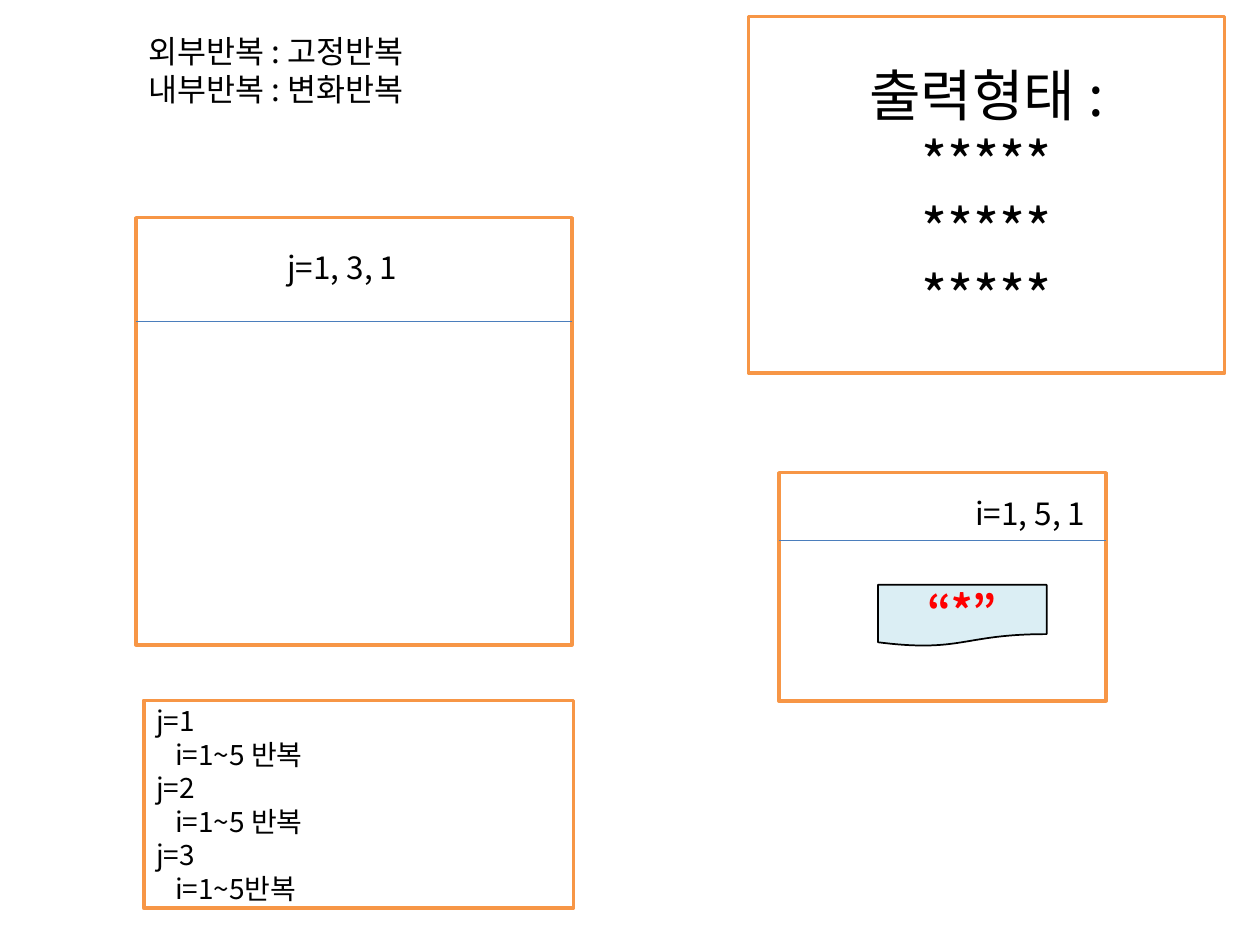
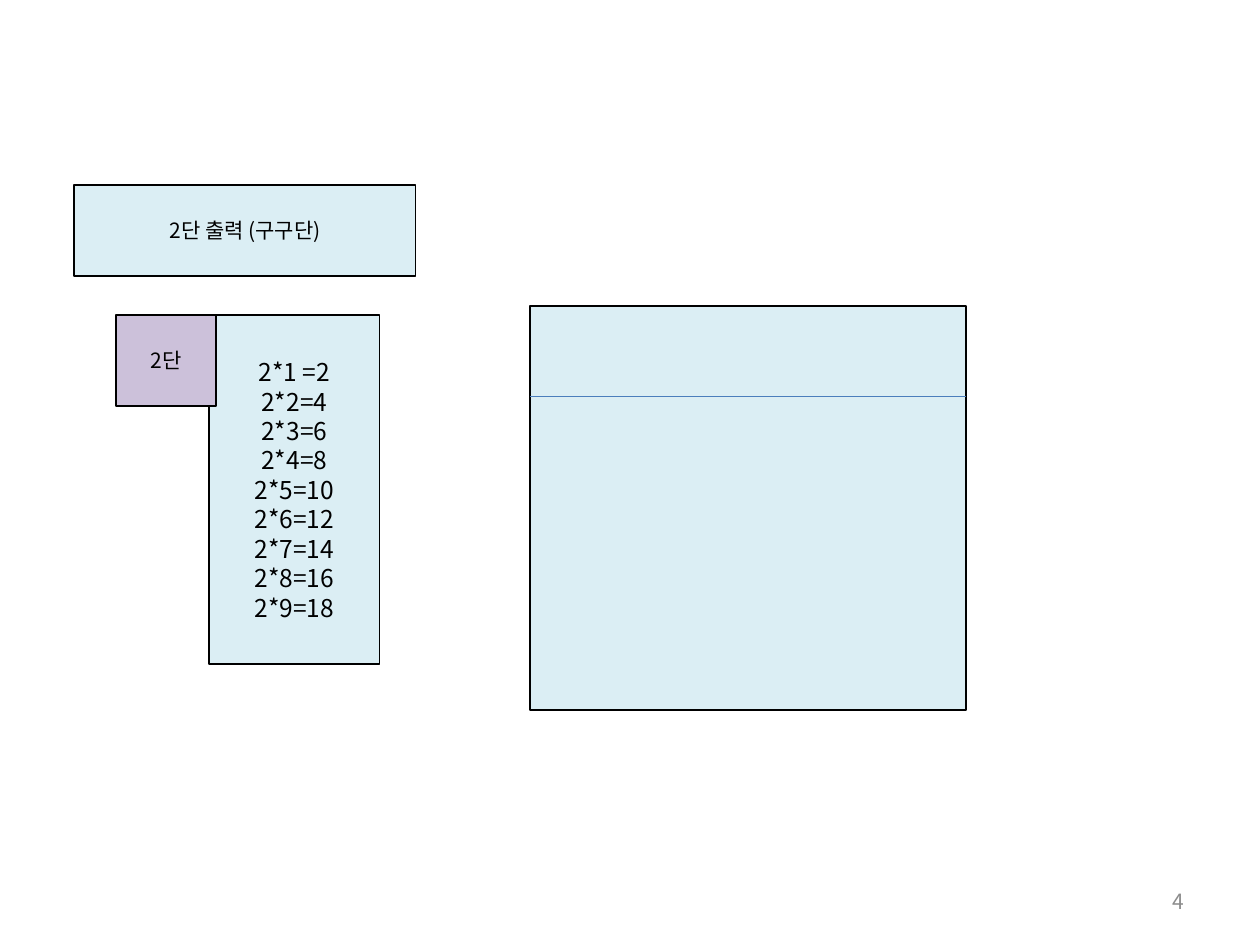
import pptx
import pptx.dml.color
import pptx.enum.shapes
import pptx.enum.text
import pptx.oxml.ns
import pptx.util
from lxml import etree

Cm, Pt = pptx.util.Cm, pptx.util.Pt
SHAPE = pptx.enum.shapes.MSO_SHAPE
ALIGN = pptx.enum.text.PP_ALIGN
ANCHOR = pptx.enum.text.MSO_ANCHOR
qn = pptx.oxml.ns.qn

# Shared look
FONT = "Noto Sans CJK KR"
LINE_HEIGHT = 1.2
INDENT = Cm(0.38)
COLORS = {
    "white": "FFFFFF",
    "black": "000000",
    "orange": "F79646",
    "blue": "4B7EBC",
    "pale_blue": "DBEEF4",
    "lilac": "CCC1DA",
    "red": "FF0000",
    "gray": "8C8C8C",
}
ORANGE_FRAME = {"fill": "white", "line": "orange", "width": 2}
BLUE_PANEL = {"fill": "pale_blue", "line": "black", "width": 1}
LILAC_PANEL = {**BLUE_PANEL, "fill": "lilac"}


def rgb(name):
    return pptx.dml.color.RGBColor.from_string(COLORS[name])


def apply(target, values):
    for name, value in values.items():
        setattr(target, name, value)


def write(shape, lines, size, color="black", align=ALIGN.LEFT,
          anchor=ANCHOR.TOP, bold=False, indented=()):
    """Write one paragraph per line; indented holds line numbers."""
    frame = shape.text_frame
    apply(frame, {"word_wrap": True, "vertical_anchor": anchor})
    for number, line in enumerate(lines):
        paragraph = frame.paragraphs[0] if number == 0 else frame.add_paragraph()
        apply(paragraph, {"alignment": align,
                          "line_spacing": Pt(round(size * LINE_HEIGHT, 1))})
        if number in indented:
            paragraph._p.get_or_add_pPr().set("marL", str(INDENT))
        run = paragraph.add_run()
        run.text = line
        apply(run.font, {"name": FONT, "size": Pt(size), "bold": bold})
        run.font.color.rgb = rgb(color)
        # Hangul takes its face from the East Asian font
        east_asian = etree.SubElement(run._r.get_or_add_rPr(), qn("a:ea"))
        east_asian.set("typeface", FONT)


def add_panel(shapes, left, top, width, height, style, kind=SHAPE.RECTANGLE):
    panel = shapes.add_shape(kind, Cm(left), Cm(top), Cm(width), Cm(height))
    panel.shadow.inherit = False
    panel.fill.solid()
    panel.fill.fore_color.rgb = rgb(style["fill"])
    panel.line.color.rgb = rgb(style["line"])
    panel.line.width = Pt(style["width"])
    return panel


def add_label(shapes, left, top, width, height, lines, size, **text_format):
    label = shapes.add_textbox(Cm(left), Cm(top), Cm(width), Cm(height))
    write(label, lines, size, **text_format)


def add_loop_block(slide, left, top, width, height, head, style):
    """Loop symbol: a framed body under a head of the given height."""
    block = slide.shapes.add_group_shape().shapes
    add_panel(block, left, top, width, height, style)
    divider = block.add_connector(
        pptx.enum.shapes.MSO_CONNECTOR.STRAIGHT,
        Cm(left), Cm(top + head), Cm(left + width), Cm(top + head))
    divider.line.color.rgb = rgb("blue")
    divider.line.width = Pt(0.75)
    etree.SubElement(divider._element.spPr, qn("a:effectLst"))
    return block


def build_nested_loops(slide):
    centered = {"align": ALIGN.CENTER, "anchor": ANCHOR.MIDDLE}

    # Expected output
    output = add_panel(slide.shapes, 15.09, 0.33, 9.6, 7.19, ORANGE_FRAME)
    write(output, ["출력형태 :"] + ["*****"] * 3, 32, **centered)

    # Outer loop
    outer = add_loop_block(slide, 2.74, 4.39, 8.79, 8.61, 2.09, ORANGE_FRAME)
    add_label(outer, 5.54, 4.88, 5.99, 1.02, ["j=1, 3, 1"], 18)

    # Inner loop with its print step
    inner = add_loop_block(slide, 15.7, 9.53, 6.6, 4.6, 1.37, ORANGE_FRAME)
    star = add_panel(inner, 17.7, 11.79, 3.4, 1.24, BLUE_PANEL,
                     SHAPE.FLOWCHART_DOCUMENT)
    write(star, ["“*”"], 24, color="red", bold=True, **centered)
    add_label(inner, 19.41, 9.83, 4.09, 0.79, ["i=1, 5, 1"], 18)

    # Rules and trace of the loops
    add_label(slide.shapes, 2.74, 0.53, 6.35, 1.8,
              ["외부반복 : 고정반복", "내부반복 : 변화반복"], 18)
    trace = add_panel(slide.shapes, 2.9, 14.12, 8.66, 4.19, ORANGE_FRAME)
    write(trace, ["j=1", "i=1~5 반복", "j=2", "i=1~5 반복", "j=3", "i=1~5반복"],
          16, anchor=ANCHOR.MIDDLE, indented=(1, 3, 5))


def build_times_table(slide):
    centered = {"align": ALIGN.CENTER, "anchor": ANCHOR.MIDDLE}

    # Products of two
    products = add_panel(slide.shapes, 4.22, 6.35, 3.43, 7.04, BLUE_PANEL)
    write(products, ["2*1 =2"] + [f"2*{n}={2 * n}" for n in range(2, 10)],
          14, **centered)

    # Headings
    tag = add_panel(slide.shapes, 2.34, 6.35, 2.01, 1.83, LILAC_PANEL)
    write(tag, ["2단"], 12, **centered)
    task = add_panel(slide.shapes, 1.5, 3.73, 6.88, 1.83, BLUE_PANEL)
    write(task, ["2단 출력 (구구단)"], 12, **centered)

    # Empty loop to fill in
    add_loop_block(slide, 10.69, 6.17, 8.79, 8.15, 1.83, BLUE_PANEL)

    # Page number
    add_label(slide.shapes, 18.21, 17.65, 5.92, 1.02, ["4"], 12, color="gray",
              align=ALIGN.RIGHT, anchor=ANCHOR.MIDDLE)


def main():
    deck = pptx.Presentation()
    apply(deck, {"slide_width": Cm(25.4), "slide_height": Cm(19.05)})
    blank = deck.slide_layouts[6]
    for build in (build_nested_loops, build_times_table):
        build(deck.slides.add_slide(blank))
    deck.save("out.pptx")


if __name__ == "__main__":
    main()
